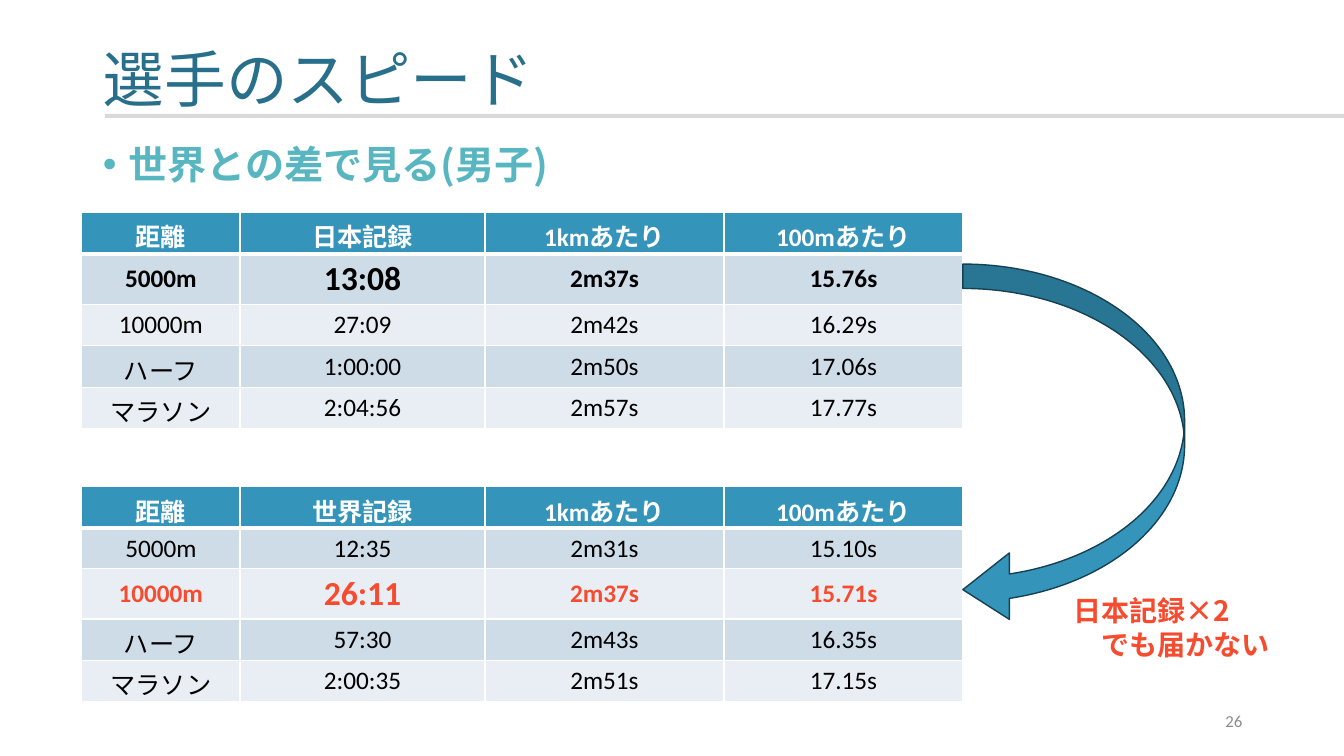
from lxml import etree
from pptx import Presentation
from pptx import util as u
from pptx.dml.color import RGBColor
from pptx.enum import shapes, text
from pptx.oxml import ns

WHITE = RGBColor(0xFF, 0xFF, 0xFF)
BLACK = RGBColor(0, 0, 0)
TITLE_BLUE = RGBColor(0x27, 0x6F, 0x8B)
TEAL = RGBColor(0x58, 0xB6, 0xC0)
BLUE = RGBColor(0x34, 0x94, 0xBA)
DARK_BLUE = RGBColor(0x17, 0x41, 0x52)
BANDS = (RGBColor(0xCE, 0xDC, 0xE7), RGBColor(0xE8, 0xEE, 0xF3))
RED = RGBColor(0xF6, 0x4B, 0x2E)
RULE_GRAY = RGBColor(0xD9, 0xD9, 0xD9)
NUMBER_GRAY = RGBColor(0x8C, 0x8C, 0x8C)

LATIN, JAPANESE = "Calibri", "Noto Sans CJK JP"
WIDTH, HEIGHT = u.Inches(13.33), u.Inches(7.5)
PLAIN_STYLE = "{2D5ABB26-0587-4C30-8999-92F81FD0307C}"

COLUMN_SHARES = (11.78, 18.23, 17.78, 17.78)
ROW_SHARES = (5.47, 5.2, 5.47, 5.47, 5.47)
DISTANCES = ("5000m", "10000m", "ハーフ", "マラソン")
JAPAN = (
    ("13:08", "2m37s", "15.76s"),
    ("27:09", "2m42s", "16.29s"),
    ("1:00:00", "2m50s", "17.06s"),
    ("2:04:56", "2m57s", "17.77s"),
)
WORLD = (
    ("12:35", "2m31s", "15.10s"),
    ("26:11", "2m37s", "15.71s"),
    ("57:30", "2m43s", "16.35s"),
    ("2:00:35", "2m51s", "17.15s"),
)


def across(percent):
    return u.Emu(round(WIDTH * percent / 100))


def down(percent):
    return u.Emu(round(HEIGHT * percent / 100))


def box(left, top, width, height):
    return across(left), down(top), across(width), down(height)


def place(shape, area):
    shape.left, shape.top, shape.width, shape.height = area


def style(paragraph, size, color, bold=False, name=JAPANESE, align=text.PP_ALIGN.LEFT):
    paragraph.alignment = align
    font = paragraph.font
    font.name, font.size, font.bold = name, u.Pt(size), bold
    font.color.rgb = color
    defaults = paragraph._p.pPr.find(ns.qn("a:defRPr"))
    etree.SubElement(defaults, ns.qn("a:ea"), typeface=JAPANESE)


def fill_placeholder(shape, area, words, size, color, bold=False):
    place(shape, area)
    frame = shape.text_frame
    frame.text = words
    frame.auto_size = text.MSO_AUTO_SIZE.NONE
    paragraph = frame.paragraphs[0]
    paragraph.line_spacing = 0.9
    style(paragraph, size, color, bold)
    return paragraph


def add_bullet(paragraph):
    properties = paragraph._p.get_or_add_pPr()
    properties.set("marL", str(u.Inches(0.25)))
    properties.set("indent", str(-u.Inches(0.25)))
    bullet = etree.Element(ns.qn("a:buChar"), char="•")
    properties.find(ns.qn("a:defRPr")).addprevious(bullet)


def add_text(slide, area, lines, **look):
    frame = slide.shapes.add_textbox(*area).text_frame
    frame.word_wrap = True
    frame.text = "\n".join(lines)
    for paragraph in frame.paragraphs:
        style(paragraph, **look)
    return frame


def add_block(slide, kind, area, color, outline=None):
    shape = slide.shapes.add_shape(kind, *area)
    shape.shadow.inherit = False
    shape.fill.solid()
    shape.fill.fore_color.rgb = color
    if outline is None:
        shape.line.fill.background()
    else:
        shape.line.color.rgb = outline
        shape.line.width = u.Pt(1)
    return shape


def border_cell(cell, top, bottom):
    properties = cell._tc.get_or_add_tcPr()
    widths = (("lnL", 1), ("lnR", 1), ("lnT", top), ("lnB", bottom))
    for position, (side, width) in enumerate(widths):
        line = etree.Element(ns.qn(f"a:{side}"), w=str(u.Pt(width)))
        fill = etree.SubElement(line, ns.qn("a:solidFill"))
        etree.SubElement(fill, ns.qn("a:srgbClr"), val=str(WHITE))
        properties.insert(position, line)


def add_record_table(slide, top, record_name, records, key_row, key_color):
    area = box(6.08, top, sum(COLUMN_SHARES), sum(ROW_SHARES))
    table = slide.shapes.add_table(len(ROW_SHARES), len(COLUMN_SHARES), *area).table
    table._tbl.tblPr.find(ns.qn("a:tableStyleId")).text = PLAIN_STYLE
    for column, share in zip(table.columns, COLUMN_SHARES):
        column.width = across(share)
    for row, share in zip(table.rows, ROW_SHARES):
        row.height = down(share)
    content = [("距離", record_name, "1kmあたり", "100mあたり")]
    content += [(distance, *record) for distance, record in zip(DISTANCES, records)]
    for r, values in enumerate(content):
        header, key = r == 0, r == key_row
        color = WHITE if header else key_color if key else BLACK
        for c, value in enumerate(values):
            cell = table.cell(r, c)
            cell.text = value
            cell.vertical_anchor = text.MSO_ANCHOR.MIDDLE
            cell.fill.solid()
            cell.fill.fore_color.rgb = BLUE if header else BANDS[(r - 1) % 2]
            border_cell(cell, 3 if r == 1 else 1, 3 if header else 1)
            size = 24 if key and c == 1 else 18
            style(cell.text_frame.paragraphs[0], size, color, header or key,
                  LATIN, text.PP_ALIGN.CENTER)


def main():
    presentation = Presentation()
    presentation.slide_width, presentation.slide_height = WIDTH, HEIGHT
    slide = presentation.slides.add_slide(presentation.slide_layouts[1])
    title, body = slide.placeholders

    add_block(slide, shapes.MSO_SHAPE.RECTANGLE, box(7.8, 15.07, 92.2, 0.53), RULE_GRAY)
    fill_placeholder(title, box(6.9, 4.8, 86.27, 12.27), "選手のスピード", 44, TITLE_BLUE)
    title.text_frame.vertical_anchor = text.MSO_ANCHOR.MIDDLE
    subject = fill_placeholder(body, box(6.9, 18.53, 86.27, 78.53),
                               "世界との差で見る(男子)", 28, TEAL, True)
    subject.space_before = u.Pt(10)
    add_bullet(subject)

    number = add_text(slide, box(70.67, 92.67, 22.5, 5.33), ["26"], size=12,
                      color=NUMBER_GRAY, name=LATIN, align=text.PP_ALIGN.RIGHT)
    number.vertical_anchor = text.MSO_ANCHOR.MIDDLE

    add_record_table(slide, 28.13, "日本記録", JAPAN, 1, BLACK)
    add_record_table(slide, 64.4, "世界記録", WORLD, 2, RED)

    arrow = add_block(slide, shapes.MSO_SHAPE.CURVED_LEFT_ARROW,
                      box(71.64, 34.93, 16.5, 47.47), BLUE, DARK_BLUE)
    for index, share in enumerate((0.11, 0.3, 0.21)):
        arrow.adjustments[index] = share
    add_text(slide, box(79.14, 77.87, 16.5, 10.27), ["日本記録×2", "　でも届かない"],
             size=20, color=RED, bold=True)

    presentation.save("out.pptx")


if __name__ == "__main__":
    main()
